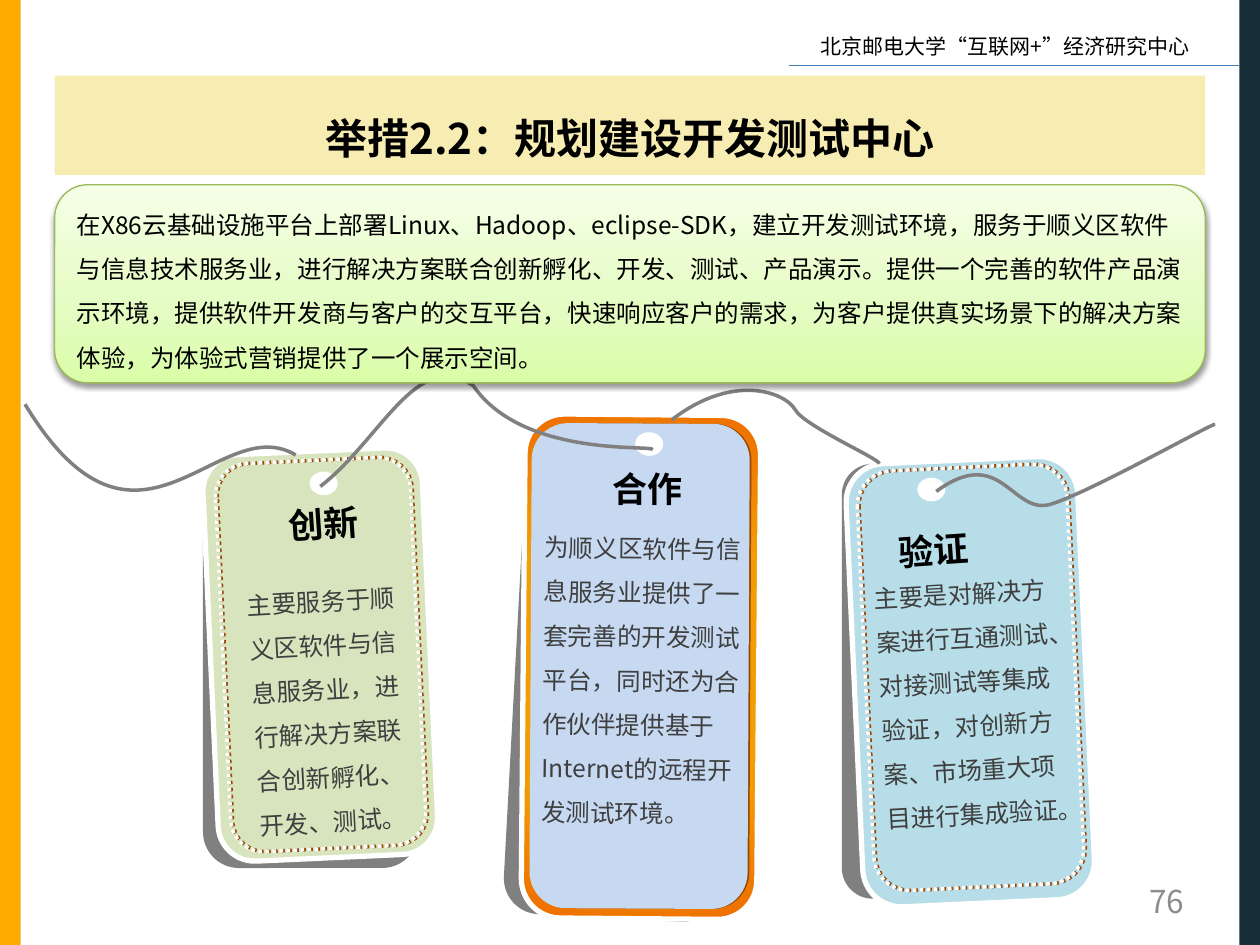
from dataclasses import dataclass
from typing import Optional

from lxml import etree
from pptx import Presentation
from pptx.dml.color import RGBColor
from pptx.enum.dml import MSO_LINE
from pptx.enum.shapes import MSO_CONNECTOR, MSO_SHAPE
from pptx.enum.text import MSO_ANCHOR, MSO_AUTO_SIZE, PP_ALIGN
from pptx.oxml.ns import qn
from pptx.util import Pt

RECT, ROUND, OVAL = MSO_SHAPE.RECTANGLE, MSO_SHAPE.ROUNDED_RECTANGLE, MSO_SHAPE.OVAL
LEFT, CENTER, RIGHT = PP_ALIGN.LEFT, PP_ALIGN.CENTER, PP_ALIGN.RIGHT
TOP, MIDDLE = MSO_ANCHOR.TOP, MSO_ANCHOR.MIDDLE
DOTTED = MSO_LINE.ROUND_DOT
SANS, HEAD = "Noto Sans CJK SC", "Montserrat"
BLACK, WHITE, GREY, BODY = "000000", "FFFFFF", "808080", "3F3F3F"


@dataclass
class Box:
    x: float
    y: float
    w: float
    h: float
    rot: float = 0


@dataclass
class Shadow:
    color: str
    alpha: int
    blur: float
    dist: float
    angle: int


@dataclass
class Tag:
    """A hanging card: backing, outer card, inner panel, hole and texts."""
    back: Box
    outer: Box
    inner: Box
    hole: Box
    head_box: Box
    head: str
    head_spacing: float
    body_box: Box
    body: str
    fill: Optional[str] = None  # None means orange rim with a blue panel


@dataclass
class Curve:
    """A start point, then groups of two handles and an end point."""
    box: Box
    points: list


def rgb(color: str) -> RGBColor:
    return RGBColor.from_string(color)


def add(parent, tag: str, **attrs):
    return etree.SubElement(parent, qn(tag), {k: str(v) for k, v in attrs.items()})


def add_box(kind, b: Box, fill: Optional[str] = None, line: Optional[str] = None,
            width: float = 0, shadow: Optional[Shadow] = None):
    s = sp.add_shape(kind, Pt(b.x), Pt(b.y), Pt(b.w), Pt(b.h))
    s.rotation = b.rot
    s.shadow.inherit = False
    if fill:
        s.fill.solid()
        s.fill.fore_color.rgb = rgb(fill)
    else:
        s.fill.background()
    if line:
        s.line.color.rgb = rgb(line)
        s.line.width = Pt(width)
    else:
        s.line.fill.background()
    if shadow:
        effects = s._element.spPr.find(qn("a:effectLst"))
        outer = add(effects, "a:outerShdw", blurRad=Pt(shadow.blur), dist=Pt(shadow.dist),
                    dir=shadow.angle * 60000, algn="ctr", rotWithShape=0)
        add(add(outer, "a:srgbClr", val=shadow.color), "a:alpha", val=shadow.alpha * 1000)
    return s


def set_gradient(s, stops: list, angle: Optional[int] = None) -> None:
    """Linear at the given angle, or circular from the centre."""
    s.fill.gradient()
    grad = s._element.spPr.find(qn("a:gradFill"))
    for child in list(grad):
        grad.remove(child)
    gs_list = add(grad, "a:gsLst")
    for pos, color in stops:
        add(add(gs_list, "a:gs", pos=pos * 1000), "a:srgbClr", val=color)
    if angle is None:
        circle = add(grad, "a:path", path="circle")
        add(circle, "a:fillToRect", l=50000, t=50000, r=50000, b=50000)
    else:
        add(grad, "a:lin", ang=angle * 60000, scaled=0)


def set_text(s, text: str, size: float, color: str = BLACK, bold: bool = False,
             font: str = SANS, align=LEFT, spacing: float = 1.0, anchor=TOP) -> None:
    tf = s.text_frame
    tf.word_wrap = True
    tf.vertical_anchor = anchor
    p = tf.paragraphs[0]
    p.add_run().text = text
    p.alignment = align
    p.line_spacing = spacing
    p.font.size, p.font.bold, p.font.name = Pt(size), bold, font
    p.font.color.rgb = rgb(color)
    add(p._p.pPr.find(qn("a:defRPr")), "a:ea", typeface=font)


def add_text(b: Box, text: str, size: float, grow: bool = True, **style) -> None:
    s = sp.add_textbox(Pt(b.x), Pt(b.y), Pt(b.w), Pt(b.h))
    s.rotation = b.rot
    set_text(s, text, size, **style)
    if grow:
        s.text_frame.auto_size = MSO_AUTO_SIZE.SHAPE_TO_FIT_TEXT


def add_string(curve: Curve) -> None:
    b, points = curve.box, curve.points
    builder = sp.build_freeform(Pt(points[0][0]), Pt(points[0][1]))
    builder.add_line_segments([(Pt(x), Pt(y)) for x, y in points[3::3]], close=False)
    s = builder.convert_to_shape()
    s.left, s.top, s.width, s.height = Pt(b.x), Pt(b.y), Pt(b.w), Pt(b.h)
    # Swap the straight segments for cubic ones
    outline = next(s._element.iter(qn("a:path")))
    outline.set("w", str(s.width))
    outline.set("h", str(s.height))
    for child in list(outline):
        outline.remove(child)
    for i, (x, y) in enumerate(points):
        if i == 0:
            segment = add(outline, "a:moveTo")
        elif i % 3 == 1:
            segment = add(outline, "a:cubicBezTo")
        add(segment, "a:pt", x=Pt(x - b.x), y=Pt(y - b.y))
    s.shadow.inherit = False
    s.fill.background()
    s.line.color.rgb = rgb(GREY)
    s.line.width = Pt(2)


def add_card(tag: Tag) -> None:
    stitch = Shadow("984807", 100, 0, 1, 0)
    add_box(ROUND, tag.back, GREY)
    outer = add_box(ROUND, tag.outer, tag.fill, WHITE, 3)
    if tag.fill:
        inner = add_box(ROUND, tag.inner, None, WHITE, 2, stitch)
        inner.line.dash_style = DOTTED
    else:
        set_gradient(outer, [(56, "F29D04"), (100, "EE6B00")])
        add_box(ROUND, tag.inner, "C6D9F1", shadow=stitch)


TAGS = [
    Tag(Box(116, 259, 123, 237), Box(120.3, 257.8, 125.5, 232.5, 357.4),
        Box(127.5, 263, 111.5, 222, 357.3), Box(177, 269.5, 16, 13.5),
        Box(158.2, 287.7, 64, 31.5, 356.1), "创新", 0.8, Box(137.5, 323.2, 99, 160, 356.8),
        "主要服务于顺义区软件与信息服务业，进行解决方案联合创新孵化、开发、测试。", "D7E4BD"),
    Tag(Box(294.5, 238.3, 123, 286.5, 3.1), Box(299, 237, 134.6, 288, 0.5),
        Box(303.2, 242, 124.6, 277.2, 0.3), Box(363, 247, 16, 13.5, 3.1),
        Box(342.8, 268.5, 67, 31.5), "合作", 0.8, Box(303.2, 293, 129, 185, 0.7),
        "为顺义区软件与信息服务业提供了一套完善的开发测试平台，"
        "同时还为合作伙伴提供基于Internet的远程开发测试环境。"),
    Tag(Box(481, 265, 106, 248.5), Box(488.2, 262.8, 132.5, 253.5, 357.4),
        Box(494.6, 267, 120, 240, 357.3), Box(524.2, 273, 16, 13.5),
        Box(506, 286.5, 59, 46, 356.1), "验证", 1.5, Box(495.8, 319, 114, 160, 356.8),
        "主要是对解决方案进行互通测试、对接测试等集成验证，"
        "对创新方案、市场重大项目进行集成验证。", "B7DEE8"),
]

OUTER_STRINGS = [
    Curve(Box(14.3, 231, 154.7, 49),
          [(14.3, 231), (79, 337.5), (124.5, 233.5), (169, 260)]),
    Curve(Box(383.8, 223, 118.7, 42),
          [(383.8, 240), (418.5, 213), (448.5, 224), (454.3, 234),
           (459.5, 243.5), (502.5, 262), (502.5, 265)]),
]
HOLE_STRINGS = [
    Curve(Box(183, 214.5, 190, 63.5),
          [(183, 278), (217.5, 251.5), (238.5, 198), (270.5, 220.5),
           (299, 262), (373.5, 254), (373, 257)]),
    Curve(Box(535, 242.5, 159.4, 46),
          [(535, 280.8), (571.5, 254), (578, 293), (599, 288.5),
           (619, 283.5), (695, 240.5), (694.4, 242.5)]),
]

prs = Presentation()
prs.slide_width, prs.slide_height = Pt(720), Pt(540)
sp = prs.slides.add_slide(prs.slide_layouts[6]).shapes

# Side bars and header
add_box(RECT, Box(0, 0, 11.8, 540), "FFAA00")
add_box(RECT, Box(708.2, 0, 11.8, 540), "172F37")
add_text(Box(462, 15.6, 232.5, 21.6), "北京邮电大学“互联网+”经济研究中心", 12)
rule = sp.add_connector(MSO_CONNECTOR.STRAIGHT, Pt(451), Pt(37.5), Pt(708.2), Pt(37.5))
rule.line.color.rgb = rgb("4B7EBC")
rule.line.width = Pt(0.75)
add(rule._element.spPr, "a:effectLst")

# Title band
title = add_box(RECT, Box(31.2, 43.2, 657.5, 56.8), "E9CD23")
add(title._element.spPr.find(qn("a:solidFill"))[0], "a:alpha", val=35000)
set_text(title, "举措2.2：规划建设开发测试中心", 24, bold=True, align=CENTER,
         spacing=1.5, anchor=MIDDLE)

# Tags and their strings
for tag in TAGS:
    add_card(tag)
for curve in OUTER_STRINGS:
    add_string(curve)
for tag in TAGS:
    add_text(tag.body_box, tag.body, 14, color=BODY, spacing=1.5)
for tag in TAGS:
    add_box(OVAL, tag.hole, WHITE)
for curve in HOLE_STRINGS:
    add_string(curve)
for tag in TAGS:
    add_text(tag.head_box, tag.head, 20, bold=True, font=HEAD, spacing=tag.head_spacing)

# Summary panel
panel = add_box(ROUND, Box(31.2, 105.6, 657.5, 113.2), None, "98B955", 0.75,
                Shadow(BLACK, 38, 3.1, 1.6, 90))
set_gradient(panel, [(0, "DAFDA7"), (35, "E4FCC2"), (100, "F5FFE7")], 270)
set_text(panel, "在X86云基础设施平台上部署Linux、Hadoop、eclipse-SDK，建立开发测试环境，"
         "服务于顺义区软件与信息技术服务业，进行解决方案联合创新孵化、开发、测试、产品演示。"
         "提供一个完善的软件产品演示环境，提供软件开发商与客户的交互平台，快速响应客户的需求，"
         "为客户提供真实场景下的解决方案体验，为体验式营销提供了一个展示空间。",
         14, spacing=1.5, anchor=MIDDLE)

# Page number
add_text(Box(515.8, 500.5, 168, 29), "76", 18, grow=False, color="8C8C8C",
         align=RIGHT, anchor=MIDDLE)

prs.save("out.pptx")
